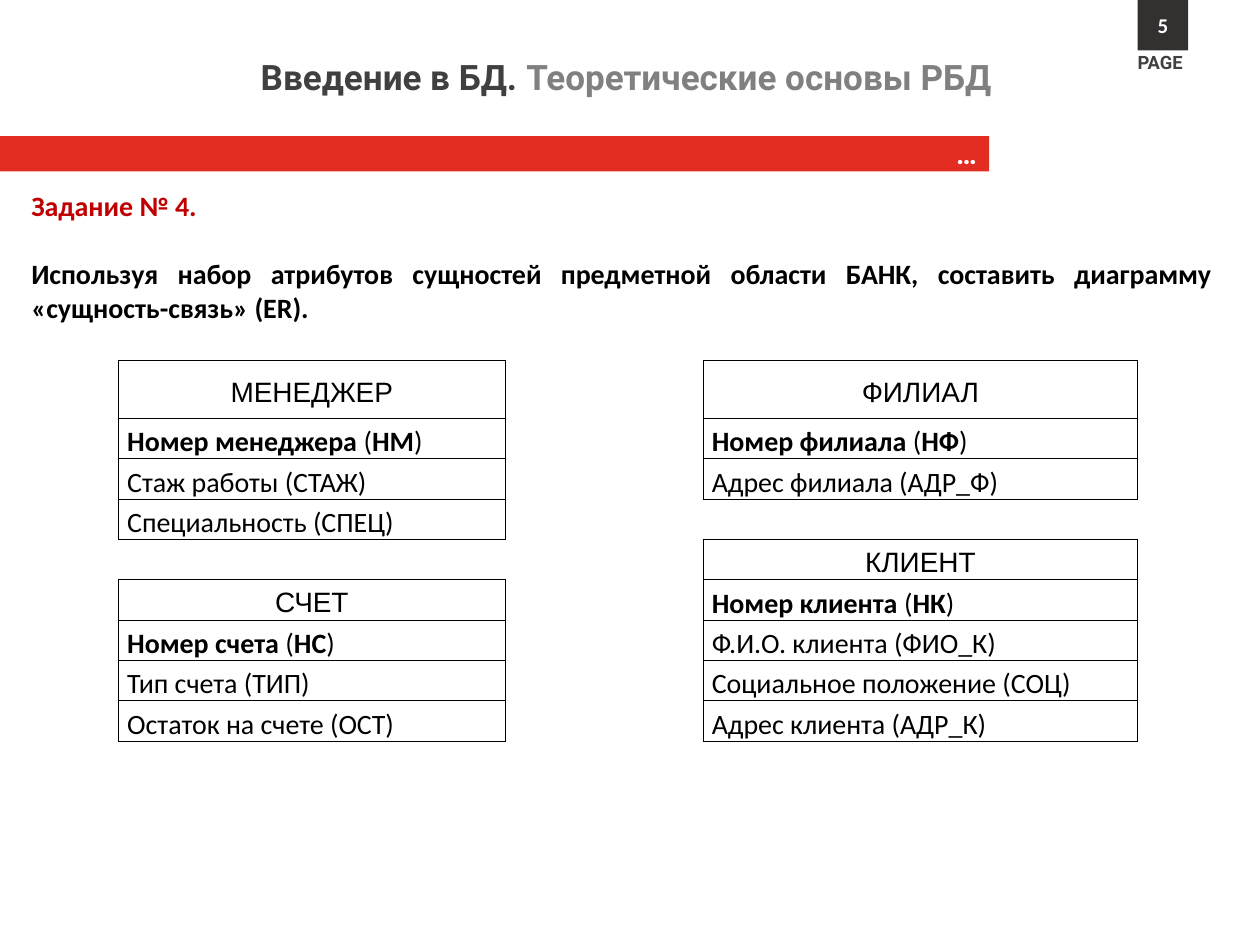
from dataclasses import dataclass

from lxml.etree import SubElement
from pptx import Presentation
from pptx.dml.color import RGBColor
from pptx.enum.shapes import MSO_SHAPE as Preset
from pptx.enum.text import MSO_ANCHOR as Anchor, PP_ALIGN as Align
from pptx.oxml.ns import qn
from pptx.util import Inches, Pt

COLORS = {"bar": "E32C22", "badge": "333030", "dark": "404040", "gray": "808080",
          "task": "C00000", "ink": "000000", "white": "FFFFFF"}
COLUMN_WIDTHS = (3.07, 1.57, 3.45)
ROW_HEIGHTS = (0.46,) + (0.32,) * 8
NO_STYLE = "{2D5ABB26-0587-4C30-8999-92F81FD0307C}"


@dataclass(frozen=True)
class Style:
    size: float
    face: str
    color: str = "ink"
    bold: bool = True
    align: Align = Align.LEFT


@dataclass(frozen=True)
class Box:
    left: float
    top: float
    width: float
    height: float

    def lengths(self) -> tuple:
        return tuple(Inches(n) for n in (self.left, self.top, self.width, self.height))


@dataclass(frozen=True)
class Entity:
    column: int
    row: int
    title: str
    key: tuple[str, str]
    attributes: tuple[str, ...]


ENTITIES = (
    Entity(0, 0, "МЕНЕДЖЕР", ("Номер менеджера", "НМ"),
           ("Стаж работы (СТАЖ)", "Специальность (СПЕЦ)")),
    Entity(2, 0, "ФИЛИАЛ", ("Номер филиала", "НФ"), ("Адрес филиала (АДР_Ф)",)),
    Entity(2, 4, "КЛИЕНТ", ("Номер клиента", "НК"),
           ("Ф.И.О. клиента (ФИО_К)", "Социальное положение (СОЦ)", "Адрес клиента (АДР_К)")),
    Entity(0, 5, "СЧЕТ", ("Номер счета", "НС"),
           ("Тип счета (ТИП)", "Остаток на счете (ОСТ)")),
)
ENTITY_TITLE = Style(16, "Arial", bold=False, align=Align.CENTER)
ATTRIBUTE = Style(16, "Calibri", bold=False, align=Align.JUSTIFY)


def rgb(name: str) -> RGBColor:
    """Return a palette colour."""
    return RGBColor.from_string(COLORS[name])


def apply_style(paragraph, style: Style) -> None:
    """Set the font and alignment of a paragraph."""
    paragraph.alignment = style.align
    font = paragraph.font
    font.size, font.name, font.bold = Pt(style.size), style.face, style.bold
    font.color.rgb = rgb(style.color)


def add_text(slide, box: Box, text: str, style: Style, wrap: bool = True):
    """Add a text box and return its frame."""
    frame = slide.shapes.add_textbox(*box.lengths()).text_frame
    frame.word_wrap = wrap
    frame.text = text
    apply_style(frame.paragraphs[0], style)
    return frame


def add_block(slide, box: Box, fill: str, text: str, style: Style) -> None:
    """Add a filled rectangle with text."""
    block = slide.shapes.add_shape(Preset.RECTANGLE, *box.lengths())
    block.shadow.inherit = False
    block.fill.solid()
    block.fill.fore_color.rgb = rgb(fill)
    block.line.fill.background()
    frame = block.text_frame
    frame.vertical_anchor = Anchor.MIDDLE
    frame.text = text
    apply_style(frame.paragraphs[0], style)


def outline(cell) -> None:
    """Draw thin lines on all sides of a cell."""
    properties = cell._tc.get_or_add_tcPr()
    for side in ("lnL", "lnR", "lnT", "lnB"):
        line = SubElement(properties, qn(f"a:{side}"), w=str(Pt(0.5)))
        SubElement(SubElement(line, qn("a:solidFill")), qn("a:srgbClr"), val=COLORS["ink"])


def fill_cell(cell, parts: tuple[str, ...], style: Style) -> None:
    """Write parts into an outlined cell, alternating bold and plain if several."""
    outline(cell)
    cell.vertical_anchor = Anchor.MIDDLE if style is ENTITY_TITLE else Anchor.TOP
    paragraph = cell.text_frame.paragraphs[0]
    apply_style(paragraph, style)
    paragraph.line_spacing = 1.2
    for index, part in enumerate(parts):
        run = paragraph.add_run()
        run.text = part
        if len(parts) > 1:
            run.font.bold = index % 2 == 0


def add_entities(slide, left: float, top: float) -> None:
    """Add the table that holds all entities."""
    box = Box(left, top, sum(COLUMN_WIDTHS), sum(ROW_HEIGHTS))
    frame = slide.shapes.add_table(len(ROW_HEIGHTS), len(COLUMN_WIDTHS), *box.lengths())
    table = frame.table
    table.first_row = table.horz_banding = False
    table._tbl.tblPr.find(qn("a:tableStyleId")).text = NO_STYLE
    for column, width in zip(table.columns, COLUMN_WIDTHS):
        column.width = Inches(width)
    for row, height in zip(table.rows, ROW_HEIGHTS):
        row.height = Inches(height)
    for cell in table.iter_cells():
        cell.margin_left = cell.margin_right = Inches(0.07)
        cell.margin_top = cell.margin_bottom = 0
        apply_style(cell.text_frame.paragraphs[0], ATTRIBUTE)
    for entity in ENTITIES:
        name, code = entity.key
        lines = [((entity.title,), ENTITY_TITLE), ((name, " (", code, ")"), ATTRIBUTE)]
        lines += [((attribute,), ATTRIBUTE) for attribute in entity.attributes]
        for row, (parts, style) in enumerate(lines, entity.row):
            fill_cell(table.cell(row, entity.column), parts, style)
    for cell in table.iter_cells():
        cell.fill.background()


def main() -> None:
    """Build and save the slide."""
    deck = Presentation()
    deck.slide_width, deck.slide_height = Inches(10), Inches(7.5)
    slide = deck.slides.add_slide(deck.slide_layouts[6])

    add_block(slide, Box(0, 1.08, 7.85, 0.28), "bar", "…",
              Style(16, "Roboto", "white", align=Align.RIGHT))
    add_text(slide, Box(8.93, 0.36, 0.59, 0.28), "PAGE", Style(10.5, "Roboto", "dark"), wrap=False)
    add_block(slide, Box(9.03, 0, 0.4, 0.4), "badge", "5",
              Style(12, "Calibri", "white", align=Align.CENTER))

    heading = add_text(slide, Box(0.15, 0.39, 7.82, 0.44), "Введение в БД. ",
                       Style(20, "Roboto", "dark", align=Align.RIGHT))
    topic = heading.paragraphs[0].add_run()
    topic.text = "Теоретические основы РБД"
    topic.font.color.rgb = rgb("gray")

    task = add_text(slide, Box(0.15, 1.45, 9.57, 1.18), "Задание № 4.",
                    Style(16, "Calibri", "task"))
    wording = task.add_paragraph()
    wording.text = ("Используя набор атрибутов сущностей предметной области БАНК, "
                    "составить диаграмму «сущность-связь» (ER).")
    apply_style(wording, Style(16, "Calibri", align=Align.JUSTIFY))
    wording.space_before = Pt(19.5)

    add_entities(slide, 0.94, 2.86)
    deck.save("out.pptx")


main()
